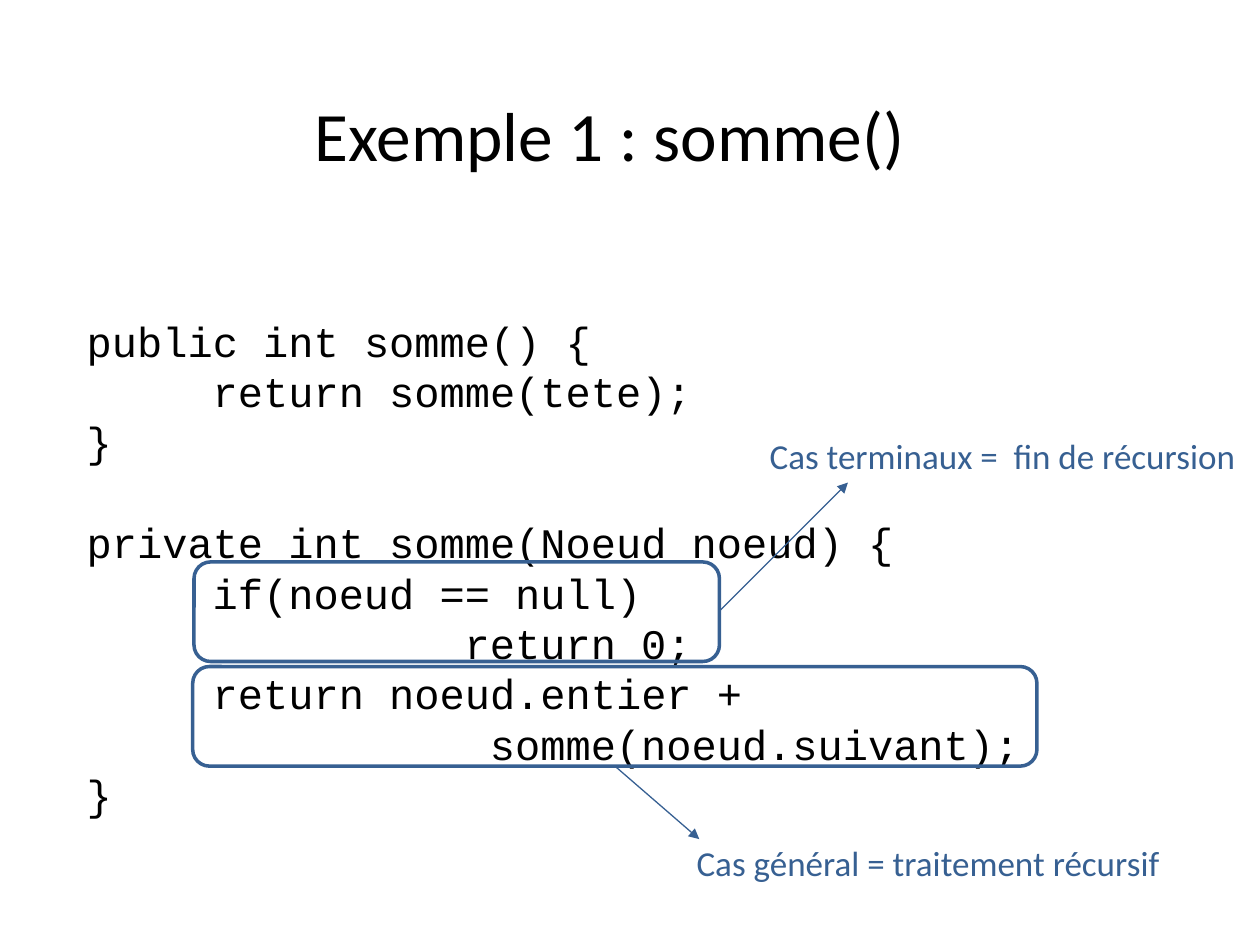
from dataclasses import dataclass
from pptx import Presentation
from pptx.dml.color import RGBColor
from pptx.enum.shapes import MSO_CONNECTOR, MSO_SHAPE
from pptx.enum.text import MSO_ANCHOR, PP_ALIGN
from pptx.oxml.ns import qn
from pptx.util import Inches, Pt
from lxml.etree import SubElement


@dataclass(frozen=True)
class Theme:
    ink = RGBColor(0x00, 0x00, 0x00)
    accent = RGBColor(0x37, 0x60, 0x92)
    text_font = "Calibri"
    code_font = "Courier New"
    title_size = Pt(39.6)
    code_size = Pt(24)
    code_leading = Pt(28.8)
    label_size = Pt(20)
    frame_width = Pt(2)
    arrow_width = Pt(0.75)


THEME = Theme()
# The page is a grid of 100 columns by 75 rows, in square cells.
COLUMNS, ROWS = 100, 75
CELL = Inches(0.1)
CODE_CHARACTER = 2  # columns taken by one character of code
TAB = 5 * CODE_CHARACTER

# (indent in characters, code, blank lines above)
CODE = [
    (0, "public int somme() {", 0),
    (5, "return somme(tete);", 0),
    (0, "}", 0),
    (0, "private int somme(Noeud noeud) {", 1),
    (5, "if(noeud == null)", 0),
    (15, "return 0;", 0),
    (5, "return noeud.entier +", 0),
    (16, "somme(noeud.suivant);", 0),
    (0, "}", 0),
]

# (frame, arrow start, arrow end, label box, label)
CALLOUTS = [
    ((15.4, 44.6, 41.7, 7.9), (57.1, 48.5), (67.3, 38.3),
     (60.1, 34, 39.4, 4.4), "Cas terminaux =  fin de récursion"),
    ((15.3, 52.9, 67, 7.9), (48.8, 60.8), (55.5, 66.6),
     (54.3, 66.3, 39.2, 4.4), "Cas général = traitement récursif"),
]


def cells(lengths):
    """Turn grid columns and rows into slide lengths."""
    return [round(length * CELL) for length in lengths]


def style(para, font, size, color):
    for span in para.runs:
        span.font.name = font
        span.font.size = size
        span.font.color.rgb = color


def add_title(page, box, text):
    frame = page.shapes.add_textbox(*cells(box)).text_frame
    frame.word_wrap = True
    frame.vertical_anchor = MSO_ANCHOR.MIDDLE
    frame.text = text
    para = frame.paragraphs[0]
    para.alignment = PP_ALIGN.CENTER
    style(para, THEME.text_font, THEME.title_size, THEME.ink)


def add_code(page, box, lines):
    frame = page.shapes.add_textbox(*cells(box)).text_frame
    frame.word_wrap = True
    frame.margin_top = Inches(0.09)
    frame.text = "\n".join(code for _, code, _ in lines)
    for para, (indent, _, blanks) in zip(frame.paragraphs, lines):
        para.line_spacing = THEME.code_leading
        para.space_before = blanks * THEME.code_leading
        left = indent * CODE_CHARACTER * CELL
        para._p.get_or_add_pPr().set("marL", str(left))
        style(para, THEME.code_font, THEME.code_size, THEME.ink)


def add_frame(page, box):
    frame = page.shapes.add_shape(MSO_SHAPE.ROUNDED_RECTANGLE, *cells(box))
    frame.shadow.inherit = False
    frame.fill.background()
    frame.line.color.rgb = THEME.accent
    frame.line.width = THEME.frame_width


def add_arrow(page, start, end):
    arrow = page.shapes.add_connector(MSO_CONNECTOR.STRAIGHT, *cells(start + end))
    arrow.line.color.rgb = THEME.accent
    arrow.line.width = THEME.arrow_width
    SubElement(arrow.line._get_or_add_ln(), qn("a:tailEnd"), type="triangle")
    SubElement(arrow._element.spPr, qn("a:effectLst"))


def add_label(page, box, text):
    frame = page.shapes.add_textbox(*cells(box)).text_frame
    frame.word_wrap = False
    frame.text = text
    style(frame.paragraphs[0], THEME.text_font, THEME.label_size, THEME.accent)


def add_callout(page, frame_box, start, end, label_box, label):
    add_frame(page, frame_box)
    add_arrow(page, start, end)
    add_label(page, label_box, label)


def main():
    deck = Presentation()
    deck.slide_width, deck.slide_height = cells((COLUMNS, ROWS))
    page = deck.slides.add_slide(deck.slide_layouts[6])
    add_title(page, (3.4, 4.4, 90, 12.5), "Exemple 1 : somme()")
    add_code(page, (5.9, 24.1, 85, 49.5), CODE)
    for callout in CALLOUTS:
        add_callout(page, *callout)
    deck.save("out.pptx")


if __name__ == "__main__":
    main()
